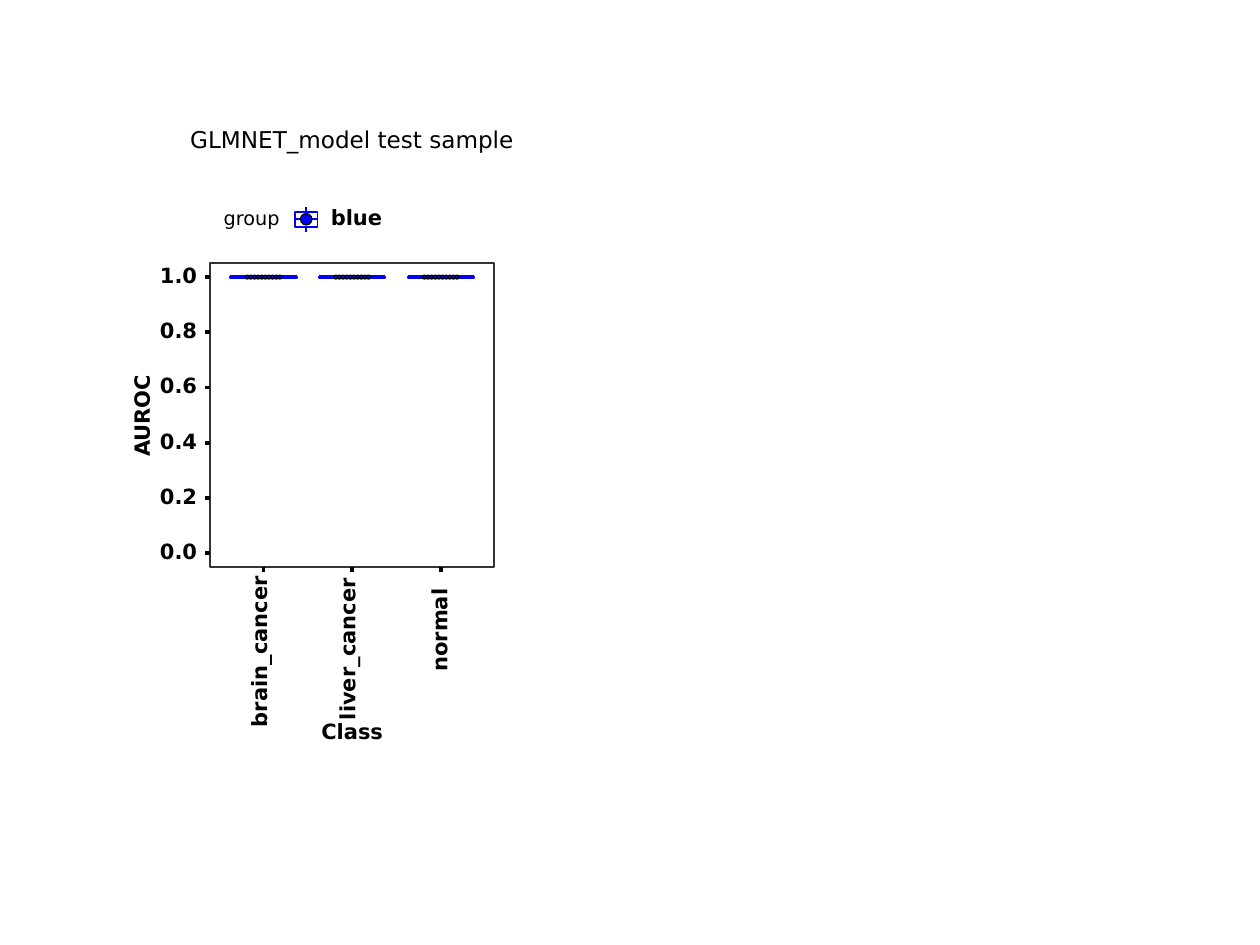
from pptx import Presentation
from pptx.dml.color import RGBColor
from pptx.enum.shapes import MSO_CONNECTOR, MSO_SHAPE
from pptx.enum.text import MSO_ANCHOR, MSO_AUTO_SIZE, PP_ALIGN
from pptx.oxml.xmlchemy import OxmlElement
from pptx.util import Inches, Pt

BLUE, BLACK, WHITE, GREY = "0000FF", "000000", "FFFFFF", "333333"
THIN, THICK, RIM = 1.07, 2.13, 0.75
LEFT, TOP, WIDE, HIGH = 1.67, 2.09, 2.25, 2.41  # plot panel
FOOT = TOP + HIGH
TICK = 0.04
DOTS, SPAN = 10, 0.26
# class name, length and height of its label, centre of the label
CLASSES = [
    ("brain_cancer", 1.2, 0.17, 2.07, 5.17),
    ("liver_cancer", 1.13, 0.17, 2.77, 5.15),
    ("normal", 0.66, 0.13, 3.5, 5.0),
]
UNIT = WIDE / (len(CLASSES) + 0.2)  # 0.6 of a unit is left at each side


def col_x(index):
    return LEFT + UNIT * (index + 0.6)


def row_y(value):
    return FOOT - HIGH * (value + 0.05) / 1.1


def color(code):
    return RGBColor.from_string(code)


def add_form(slide, kind, x, y, w, h, fill=None, edge=None, width=THIN):
    """Place a preset shape by its centre."""
    form = slide.shapes.add_shape(
        kind, *map(Inches, (x - w / 2, y - h / 2, w, h)))
    form.shadow.inherit = False
    if fill:
        form.fill.solid()
        form.fill.fore_color.rgb = color(fill)
    else:
        form.fill.background()
    if edge:
        form.line.color.rgb = color(edge)
        form.line.width = Pt(width)
    else:
        form.line.fill.background()


def add_line(slide, x1, y1, x2, y2, tint, width):
    line = slide.shapes.add_connector(
        MSO_CONNECTOR.STRAIGHT, *map(Inches, (x1, y1, x2, y2)))
    line.line.color.rgb = color(tint)
    line.line.width = Pt(width)
    line._element.spPr.append(OxmlElement("a:effectLst"))


def set_text(box, text, x, y, w, h, size=12, bold=True, turn=0):
    """Centre a box on x, y and format its one line of text."""
    place = {"left": Inches(x - w / 2), "top": Inches(y - h / 2),
             "width": Inches(w), "height": Inches(h), "rotation": turn}
    frame = box.text_frame
    frame.text = text
    para = frame.paragraphs[0]
    font = para.runs[0].font
    looks = [
        (box, place),
        (frame, {"margin_left": 0, "margin_top": 0, "margin_right": 0,
                 "margin_bottom": 0, "word_wrap": False,
                 "auto_size": MSO_AUTO_SIZE.NONE,
                 "vertical_anchor": MSO_ANCHOR.MIDDLE}),
        (para, {"alignment": PP_ALIGN.LEFT, "line_spacing": Pt(size),
                "space_before": Pt(0), "space_after": Pt(0)}),
        (font, {"name": "DejaVu Sans", "size": Pt(size), "bold": bold}),
    ]
    for item, values in looks:
        for name, value in values.items():
            setattr(item, name, value)
    font.color.rgb = color(BLACK)


def add_text(slide, *args, **looks):
    set_text(slide.shapes.add_textbox(0, 0, 0, 0), *args, **looks)


def add_boxes(slide):
    y = row_y(1)
    half = UNIT * 0.75 / 2
    for index in range(len(CLASSES)):
        x = col_x(index)
        add_form(slide, MSO_SHAPE.RECTANGLE, x, y, 2 * half, 0.01, WHITE, BLUE)
        add_line(slide, x - half, y, x + half, y, BLUE, THICK)
        for dot in range(DOTS):
            shift = SPAN * (dot / (DOTS - 1) - 0.5)
            add_form(slide, MSO_SHAPE.OVAL, x + shift, y, 0.03, 0.03,
                     BLUE, BLACK, RIM)


def add_axes(slide):
    add_form(slide, MSO_SHAPE.RECTANGLE, LEFT + WIDE / 2, TOP + HIGH / 2,
             WIDE, HIGH, edge=GREY)
    # Value axis
    for step in range(6):
        value = step / 5
        y = row_y(value)
        add_text(slide, f"{value:.1f}", 1.42, y, 0.3, 0.13)
        add_line(slide, LEFT - TICK, y, LEFT, y, BLACK, THICK)
    add_text(slide, "AUROC", 1.14, TOP + HIGH / 2, 0.66, 0.13, turn=270)
    # Class axis
    for index, (name, w, h, x, y) in enumerate(CLASSES):
        tick = col_x(index)
        add_line(slide, tick, FOOT + TICK, tick, FOOT, BLACK, THICK)
        add_text(slide, name, x, y, w, h, turn=270)
    add_text(slide, "Class", LEFT + WIDE / 2, 5.82, 0.49, 0.13)


def add_legend(slide):
    x, y, w, h = 2.43, 1.74, 0.18, 0.12
    add_text(slide, "group", 2.0, y, 0.45, 0.12, size=11, bold=False)
    for side in (1, -1):
        edge = y + side * h / 2
        add_line(slide, x, edge + side * TICK, x, edge, BLUE, THIN)
    add_form(slide, MSO_SHAPE.RECTANGLE, x, y, w, h, WHITE, BLUE)
    add_line(slide, x - w / 2, y, x + w / 2, y, BLUE, THIN)
    add_form(slide, MSO_SHAPE.OVAL, x, y, 0.09, 0.09, BLUE, BLACK, RIM)
    add_text(slide, "blue", 2.83, y, 0.41, 0.13)


def main():
    deck = Presentation()
    deck.slide_width, deck.slide_height = Inches(10), Inches(7.5)
    slide = deck.slides.add_slide(deck.slide_layouts[5])
    # Plot ground
    add_form(slide, MSO_SHAPE.RECTANGLE, 2.5, 3.5, 3, 5, WHITE, WHITE)
    add_boxes(slide)
    add_axes(slide)
    add_legend(slide)
    # Title, brought in front of the ground
    title = slide.shapes.title
    set_text(title, "GLMNET_model test sample", LEFT + WIDE / 2, 1.12,
             2.57, 0.18, size=13.2, bold=False)
    slide.shapes._spTree.append(title._element)
    deck.save("out.pptx")


if __name__ == "__main__":
    main()
